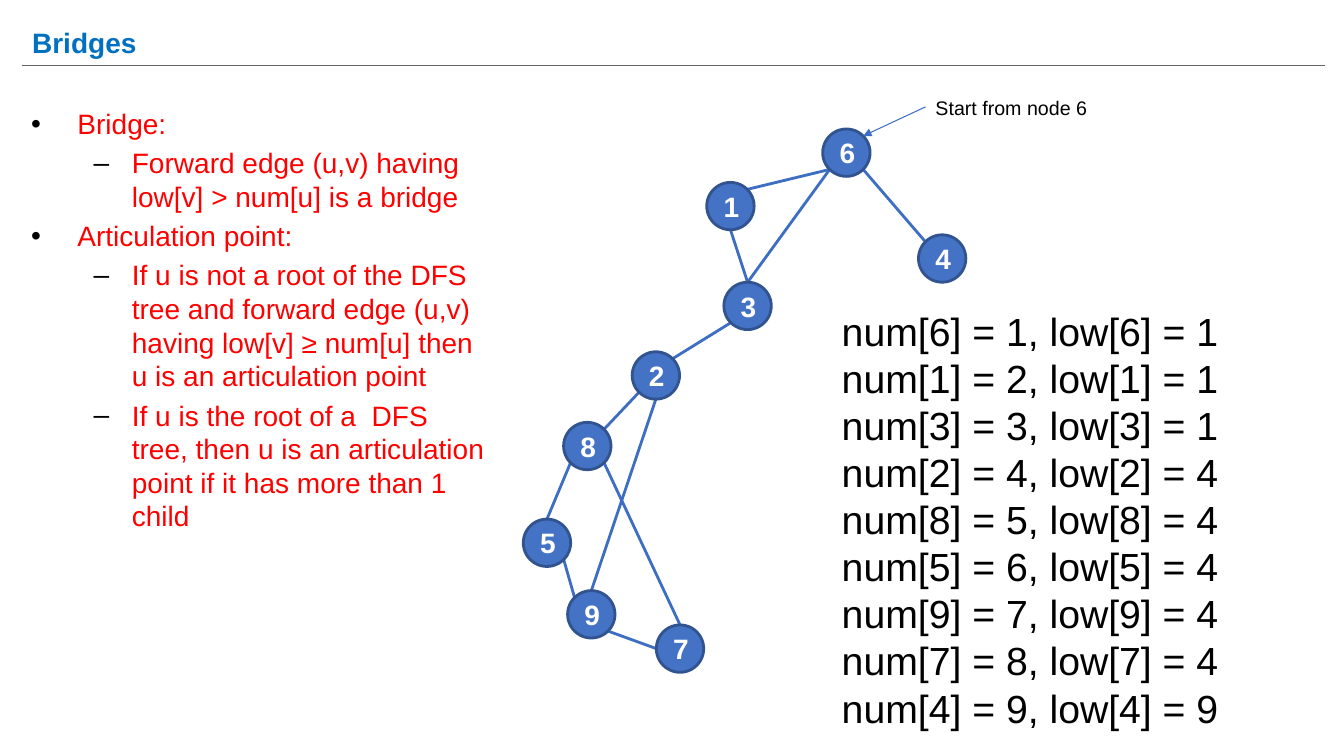
from math import cos, sin, radians
from lxml.etree import SubElement as Sub
from pptx import Presentation
from pptx.dml.color import RGBColor as Rgb
from pptx.enum.shapes import MSO_CONNECTOR as Link, MSO_SHAPE as Kind
from pptx.enum.text import MSO_ANCHOR as Anchor, PP_ALIGN as Align
from pptx.oxml.ns import qn
from pptx.util import Inches as In, Pt

HUE = {"title": "0070C0", "rule": "666666", "point": "FF0000", "ink": "000000",
       "node": "4472C4", "rim": "31538F", "edge": "3E6EC2", "label": "FFFFFF"}
TITLE = "Bridges"
POINTS = [
    (0, "Bridge:"),
    (1, "Forward edge (u,v) having low[v] > num[u] is a bridge"),
    (0, "Articulation point:"),
    (1, "If u is not a root of the DFS tree and forward edge (u,v) having "
        "low[v] ≥ num[u] then u is an articulation point"),
    (1, "If u is the root of a  DFS tree, then u is an articulation point "
        "if it has more than 1 child"),
]
START = "Start from node 6"
LOW = {6: 1, 1: 1, 3: 1, 2: 4, 8: 4, 5: 4, 9: 4, 7: 4, 4: 9}
NODES = {1: (7.01, 1.81), 6: (8.16, 1.28), 3: (7.18, 2.8), 2: (6.27, 3.49), 8: (5.59, 4.19),
         5: (5.19, 5.15), 9: (5.63, 5.86), 7: (6.51, 6.2), 4: (9.11, 2.33)}
EDGES = [(1, "NE", 6, "SW"), (1, "S", 3, "N"), (6, "SW", 3, "N"), (2, "NE", 3, "SW"),
         (2, "SW", 8, "NE"), (8, "SW", 5, "N"), (5, "SE", 9, "NW"), (9, "N", 2, "S"),
         (9, "SE", 7, "W"), (8, "SE", 7, "N"), (4, "NW", 6, "SE")]
SIDES = ["E", "NE", "N", "NW", "W", "SW", "S", "SE"]
INDENT = [(0.46, -0.46, "•"), (1, -0.38, "–")]
SIZE = 0.47

deck = Presentation()
deck.slide_width, deck.slide_height = In(13.33), In(7.5)
slide = deck.slides.add_slide(deck.slide_layouts[6])
shapes = slide.shapes


def tint(name):
    return Rgb.from_string(HUE[name])


def write(frame, lines, size, hue, bold=False, **form):
    frame.word_wrap = True
    for i, line in enumerate(lines):
        para = frame.paragraphs[0] if i == 0 else frame.add_paragraph()
        for key, val in form.items():
            setattr(para, key, val)
        run = para.add_run()
        run.text = line
        for key, val in {"name": "Arial", "size": Pt(size), "bold": bold}.items():
            setattr(run.font, key, val)
        run.font.color.rgb = tint(hue)


def box(spot, lines, *style, **form):
    frame = shapes.add_textbox(*map(In, spot)).text_frame
    write(frame, lines, *style, **form)
    return frame


def join(start, end, hue, width):
    line = shapes.add_connector(Link.STRAIGHT, *map(In, start + end))
    line.line.color.rgb, line.line.width = tint(hue), Pt(width)
    Sub(line._element.spPr, qn("a:effectLst"))
    return line


def site(node, side):
    turn = radians(45 * SIDES.index(side))
    left, top = NODES[node]
    return left + SIZE / 2 * (1 + cos(turn)), top + SIZE / 2 * (1 - sin(turn))


def bullet(para, level):
    left, hang, mark = INDENT[level]
    prop = para._p.get_or_add_pPr()
    prop.set("marL", str(In(left)))
    prop.set("indent", str(In(hang)))
    Sub(Sub(prop, qn("a:buClr")), qn("a:srgbClr")).set("val", HUE["ink"])
    Sub(prop, qn("a:buFont")).set("typeface", "Arial")
    Sub(prop, qn("a:buChar")).set("char", mark)


head = box((0.22, 0.15, 12.92, 0.59), [TITLE], 20, "title", True, line_spacing=0.9)
head.vertical_anchor = Anchor.MIDDLE
join((0.22, 0.65), (13.14, 0.65), "rule", 0.75)

body = box((0.21, 1.01, 4.73, 5.47), [text for _, text in POINTS], 20, "point")
for i, (level, _) in enumerate(POINTS):
    para = body.paragraphs[i]
    para.level, para.space_before = level, Pt(4 if i else 0)
    bullet(para, level)

for a, out, b, into in EDGES:
    join(site(a, out), site(b, into), "edge", 2)

for node, spot in NODES.items():
    disc = shapes.add_shape(Kind.OVAL, *map(In, spot + (SIZE, SIZE)))
    disc.shadow.inherit = False
    disc.fill.solid()
    disc.fill.fore_color.rgb = tint("node")
    disc.line.color.rgb, disc.line.width = tint("rim"), Pt(2)
    disc.text_frame.vertical_anchor = Anchor.MIDDLE
    write(disc.text_frame, [str(node)], 20, "label", True, alignment=Align.CENTER)

rows = [f"num[{node}] = {num}, low[{node}] = {low}"
        for num, (node, low) in enumerate(LOW.items(), 1)]
box((8.25, 3, 4.28, 4.34), rows, 28, "ink")
box((9.18, 0.9, 2.01, 0.34), [START], 14, "ink")
arrow = join((9.18, 1.06), site(6, "NE"), "edge", 0.75)
Sub(arrow.line._get_or_add_ln(), qn("a:tailEnd")).set("type", "triangle")

deck.save("out.pptx")
